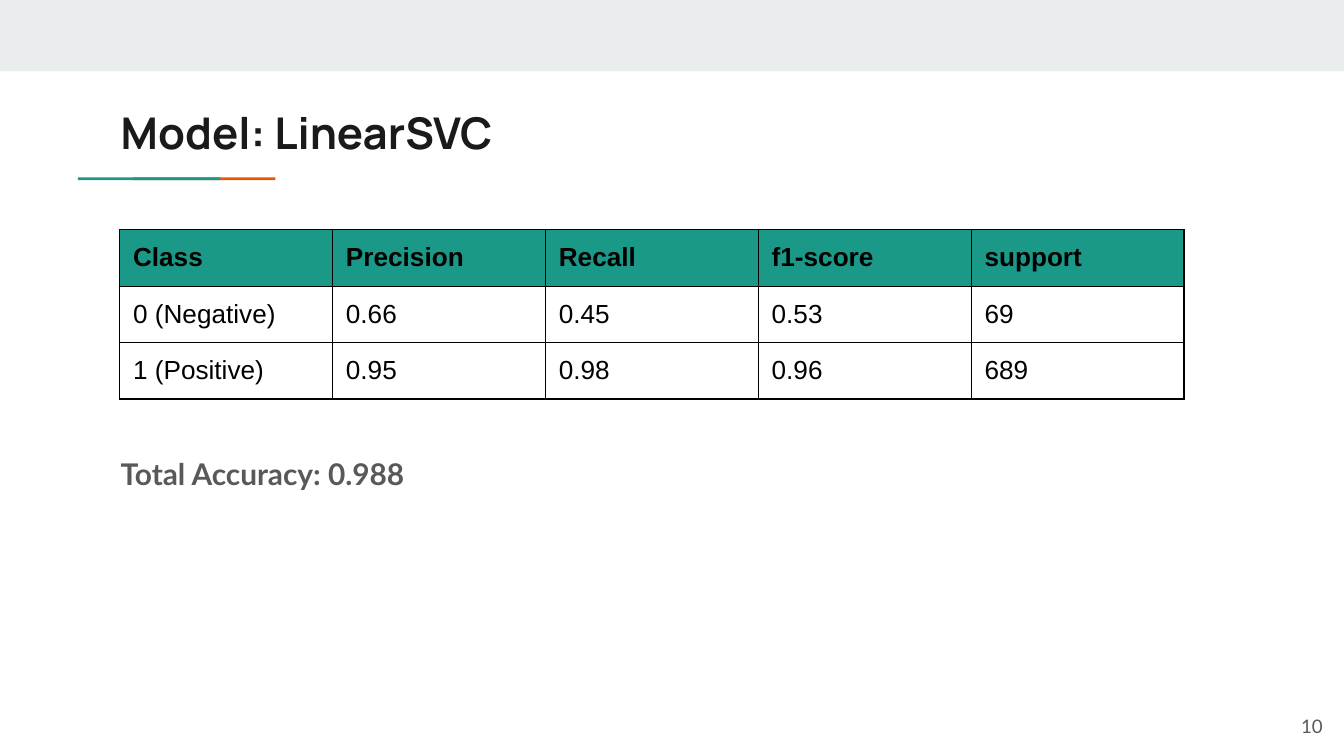
from dataclasses import dataclass

from lxml.etree import SubElement
from pptx import Presentation
from pptx.dml.color import RGBColor
from pptx.enum.shapes import MSO_SHAPE
from pptx.enum.text import MSO_ANCHOR, PP_ALIGN
from pptx.oxml.ns import qn
from pptx.util import Inches, Pt


@dataclass(frozen=True)
class Theme:
    band: str = "E9EDEE"
    teal: str = "1A9988"
    orange: str = "EB5600"
    dark: str = "1A1A1A"
    gray: str = "595959"
    black: str = "000000"
    head: float = 23.4
    body: float = 16
    cell: float = 14
    small: float = 10
    pad: float = 0.1


THEME = Theme()
ROWS = [
    ["Class", "Precision", "Recall", "f1-score", "support"],
    ["0 (Negative)", "0.66", "0.45", "0.53", "69"],
    ["1 (Positive)", "0.95", "0.98", "0.96", "689"],
]


def style(para, face, size, color, bold=False):
    for run in para.runs:
        run.font.name = face
        run.font.size = Pt(size)
        run.font.bold = bold
        run.font.color.rgb = RGBColor.from_string(color)


def add_bar(slide, box, color):
    bar = slide.shapes.add_shape(MSO_SHAPE.RECTANGLE, *map(Inches, box))
    bar.shadow.inherit = False
    bar.fill.solid()
    bar.fill.fore_color.rgb = RGBColor.from_string(color)
    bar.line.fill.background()


def add_text(slide, box, text, face, size, color, bold=False):
    frame = slide.shapes.add_textbox(*map(Inches, box)).text_frame
    frame.word_wrap = True
    frame.margin_left = frame.margin_right = Inches(THEME.pad)
    frame.margin_top = frame.margin_bottom = Inches(THEME.pad)
    frame.text = text
    style(frame.paragraphs[0], face, size, color, bold)
    return frame


def add_accent(slide, box):
    # Two equal bars overlap, with the teal one in front
    left, top, width, height = box
    step = 0.41
    for shift, color in ((step, THEME.orange), (0, THEME.teal)):
        add_bar(slide, (left + shift, top, width - step, height), color)


def add_edges(cell):
    props = cell._tc.get_or_add_tcPr()
    for index, side in enumerate(("lnL", "lnR", "lnT", "lnB")):
        line = props.makeelement(qn(f"a:{side}"), {"w": str(Pt(0.75))})
        fill = SubElement(line, qn("a:solidFill"))
        SubElement(fill, qn("a:srgbClr"), val=THEME.black)
        props.insert(index, line)


def add_scores(slide, box, rows):
    shape = slide.shapes.add_table(len(rows), len(rows[0]), *map(Inches, box))
    table = shape.table
    table.horz_banding = False
    for r, row in enumerate(rows):
        for c, text in enumerate(row):
            cell = table.cell(r, c)
            cell.margin_left = cell.margin_right = Inches(THEME.pad)
            # A smaller bottom margin keeps the row at its set height
            cell.margin_top, cell.margin_bottom = Inches(THEME.pad), Inches(0.08)
            if r == 0:
                cell.fill.solid()
                cell.fill.fore_color.rgb = RGBColor.from_string(THEME.teal)
            else:
                cell.fill.background()
            cell.text = text
            style(cell.text_frame.paragraphs[0], "Arial", THEME.cell,
                  THEME.black, r == 0)
            add_edges(cell)


def add_total(slide, box):
    frame = add_text(slide, box, "Total Accuracy: 0.988", "Lato",
                     THEME.body, THEME.gray, True)
    frame.paragraphs[0].line_spacing = 1.15
    frame.paragraphs[0].space_after = Pt(12)


def add_number(slide, box):
    frame = add_text(slide, box, "10", "Lato", THEME.small, THEME.gray)
    frame.vertical_anchor = MSO_ANCHOR.MIDDLE
    frame.paragraphs[0].alignment = PP_ALIGN.RIGHT


def main():
    # A 16:9 slide
    deck = Presentation()
    deck.slide_width = Inches(10)
    deck.slide_height = Inches(10 * 9 / 16)
    slide = deck.slides.add_slide(deck.slide_layouts[6])

    # Top band, title and its underline
    add_bar(slide, (0, 0, 10, 0.53), THEME.band)
    add_accent(slide, (0.58, 1.32, 1.47, 0.02))
    add_text(slide, (0.8, 0.69, 8.41, 0.59), "Model: LinearSVC", "Manrope",
             THEME.head, THEME.dark, True)

    # Scores, total and page number
    add_scores(slide, (0.89, 1.71, 7.92, 1.26), ROWS)
    add_total(slide, (0.8, 3.25, 2.61, 1.03))
    add_number(slide, (9.34, 5.19, 0.6, 0.43))

    deck.save("out.pptx")


if __name__ == "__main__":
    main()
